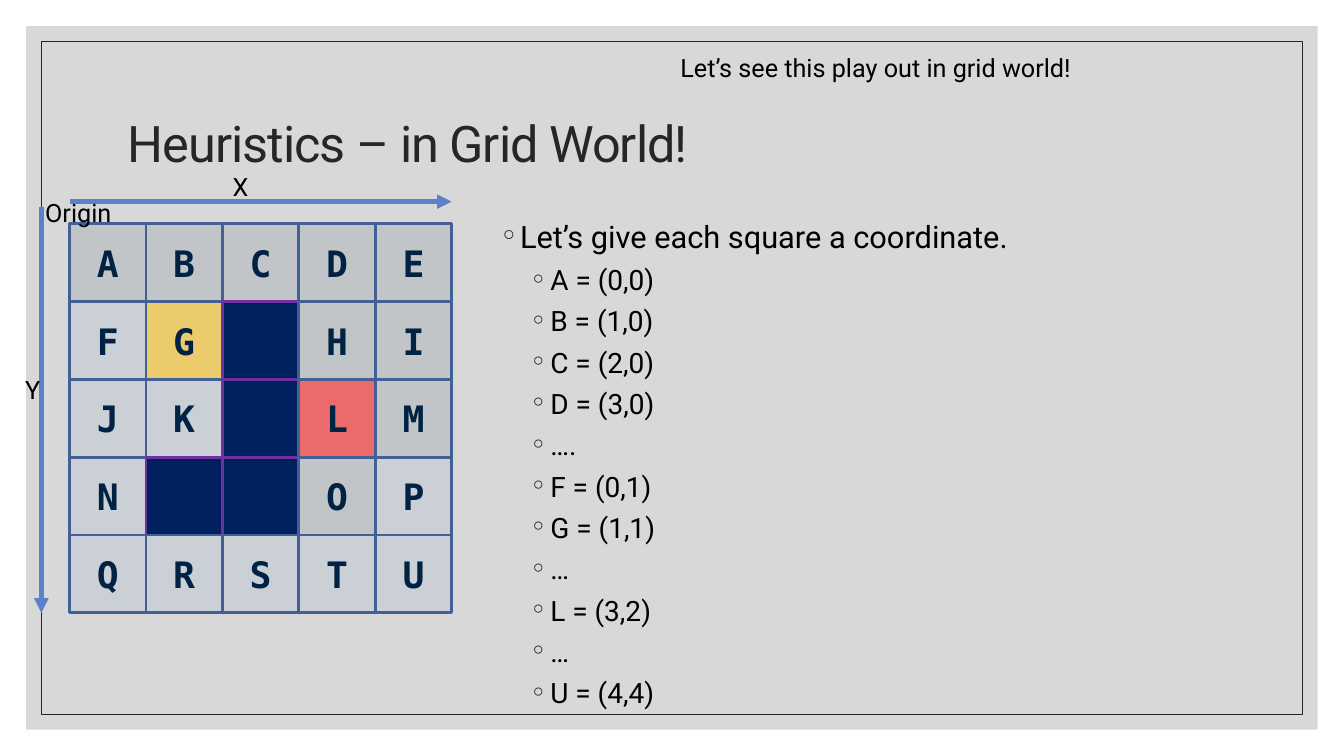
from lxml.etree import SubElement
from pptx import Presentation
from pptx.dml.color import RGBColor
from pptx.enum.shapes import MSO_CONNECTOR as Connector, MSO_SHAPE as Shape
from pptx.enum.text import MSO_ANCHOR as Anchor, PP_ALIGN as Align
from pptx.oxml.ns import qn
from pptx.util import Inches, Pt

WIDTH, HEIGHT = 13.33, 7.5
FONT, CELL_FONT = "Roboto", "DejaVu Sans Mono"
COLORS = {
    "panel": "BFBFBF", "ink": "262626", "black": "000000", "axis": "5A82CB",
    "border": "436096", "wall_border": "7030A0", "letter": "002244",
    "shaded": "002244", "plain": "5A82CB", "start": "FFC000",
    "goal": "FF0000", "wall": "002060",
}
OPACITY = {"shaded": 10, "plain": 10, "start": 50, "goal": 50, "wall": 100}

TITLE = "Heuristics – in Grid World!"
GRID = ["ABCDE", "FG#HI", "JK#LM", "N##OP", "QRSTU"]
KINDS = {"#": "wall", "G": "start", "L": "goal", **dict.fromkeys("ABCDEHIMO", "shaded")}
HEADING = "Let’s give each square a coordinate."
COORDINATES = ["A = (0,0)", "B = (1,0)", "C = (2,0)", "D = (3,0)", "….", "F = (0,1)",
               "G = (1,1)", "…", "L = (3,2)", "…", "U = (4,4)"]

MARGIN, FRAME_MARGIN = 0.26, 0.41
GRID_LEFT, GRID_TOP = 0.69, 2.22
GRID_WIDTH, GRID_HEIGHT = 3.79, 3.86
CELL_WIDTH, CELL_HEIGHT = GRID_WIDTH / len(GRID[0]), GRID_HEIGHT / len(GRID)
GRID_RIGHT, GRID_BOTTOM = GRID_LEFT + GRID_WIDTH, GRID_TOP + GRID_HEIGHT

AXES = [
    (GRID_LEFT, 2, GRID_RIGHT, 2),
    (FRAME_MARGIN, 2.05, FRAME_MARGIN, GRID_BOTTOM),
]
LABELS = [
    ("X", 2.21, 1.65, 0.37),
    ("Y", 0.15, 3.66, 0.37),
    ("Origin", 0.35, 1.91, 1.03),
    ("Let’s see this play out in grid world!", 6.65, 0.47, 5.96),
]


def color(name):
    return RGBColor.from_string(COLORS[name])


def add_rectangle(shapes, left, top, width, height, fill=None, opacity=100, line=None, line_width=1):
    shape = shapes.add_shape(Shape.RECTANGLE, *map(Inches, (left, top, width, height)))
    shape.shadow.inherit = False
    if fill:
        shape.fill.solid()
        shape.fill.fore_color.rgb = color(fill)
        if opacity < 100:
            fill_color = shape._element.spPr.find(qn("a:solidFill"))[0]
            SubElement(fill_color, qn("a:alpha"), val=str(opacity * 1000))
    else:
        shape.fill.background()
    if line:
        shape.line.color.rgb = color(line)
        shape.line.width = Pt(line_width)
    else:
        shape.line.fill.background()
    return shape


def style(paragraph, size, color_name, font=FONT, bold=False):
    for run in paragraph.runs:
        run.font.name = font
        run.font.size = Pt(size)
        run.font.bold = bold
        run.font.color.rgb = color(color_name)


def add_text(slide, text, left, top, width, height, size, color_name="black"):
    shape = slide.shapes.add_textbox(*map(Inches, (left, top, width, height)))
    shape.text_frame.word_wrap = True
    shape.text_frame.text = text
    for paragraph in shape.text_frame.paragraphs:
        style(paragraph, size, color_name)
    return shape


def add_bullet(paragraph, indent):
    properties = paragraph._p.get_or_add_pPr()
    properties.set("marL", str(Inches(indent)))
    properties.set("indent", str(Inches(-0.2)))
    bullet_color = SubElement(properties, qn("a:buClr"))
    SubElement(bullet_color, qn("a:srgbClr"), val=COLORS["ink"])
    SubElement(properties, qn("a:buFont"), typeface=FONT)
    SubElement(properties, qn("a:buChar"), char="◦")


def add_background(slide):
    for margin, look in ((MARGIN, {"fill": "panel", "opacity": 60}),
                         (FRAME_MARGIN, {"line": "ink", "line_width": 0.5})):
        add_rectangle(slide.shapes, margin, margin, WIDTH - 2 * margin, HEIGHT - 2 * margin, **look)


def add_title(slide):
    title = add_text(slide, TITLE, 1.17, 0.7, 11, 1.5, 36, "ink")
    title.text_frame.vertical_anchor = Anchor.MIDDLE
    paragraph = title.text_frame.paragraphs[0]
    paragraph.line_spacing = 0.9
    paragraph.runs[0].font._element.set("spc", "-70")


def add_coordinates(slide):
    body = add_text(slide, "\n".join([HEADING, *COORDINATES]), 4.86, 2.04, 7.03, 5.09, 20)
    heading, *items = body.text_frame.paragraphs
    add_bullet(heading, 0.2)
    heading.line_spacing = 1.2
    style(heading, 22, "black")
    for item in items:
        add_bullet(item, 0.5)
        item.level = 1
        item.space_before = Pt(5.5)


def add_grid(slide):
    group = slide.shapes.add_group_shape()
    for row, letters in enumerate(GRID):
        for column, letter in enumerate(letters):
            kind = KINDS.get(letter, "plain")
            cell = add_rectangle(
                group.shapes, GRID_LEFT + column * CELL_WIDTH, GRID_TOP + row * CELL_HEIGHT,
                CELL_WIDTH, CELL_HEIGHT, kind, OPACITY[kind],
                "wall_border" if kind == "wall" else "border", 2)
            if kind != "wall":
                cell.text_frame.text = letter
                cell.text_frame.vertical_anchor = Anchor.MIDDLE
                paragraph = cell.text_frame.paragraphs[0]
                paragraph.alignment = Align.CENTER
                style(paragraph, 26, "letter", CELL_FONT, True)


def add_axis(slide, points):
    axis = slide.shapes.add_connector(Connector.STRAIGHT, *map(Inches, points))
    axis.line.color.rgb = color("axis")
    axis.line.width = Pt(3.5)
    properties = axis._element.spPr
    SubElement(properties.find(qn("a:ln")), qn("a:tailEnd"), type="triangle")
    SubElement(properties, qn("a:effectLst"))


def main():
    presentation = Presentation()
    presentation.slide_width, presentation.slide_height = Inches(WIDTH), Inches(HEIGHT)
    slide = presentation.slides.add_slide(presentation.slide_layouts[6])
    add_background(slide)
    add_title(slide)
    add_coordinates(slide)
    add_grid(slide)
    for points in AXES:
        add_axis(slide, points)
    for text, left, top, width in LABELS:
        add_text(slide, text, left, top, width, 0.4, 18)
    presentation.save("out.pptx")


if __name__ == "__main__":
    main()
